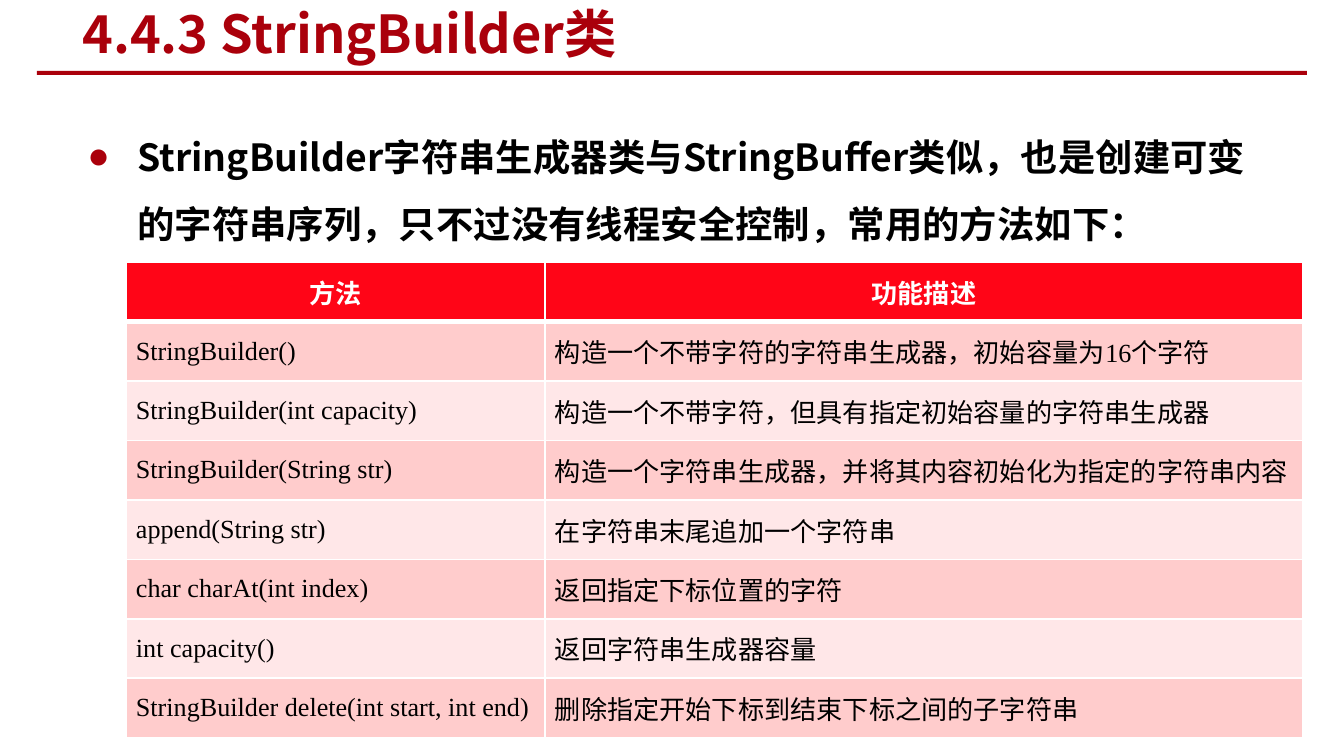
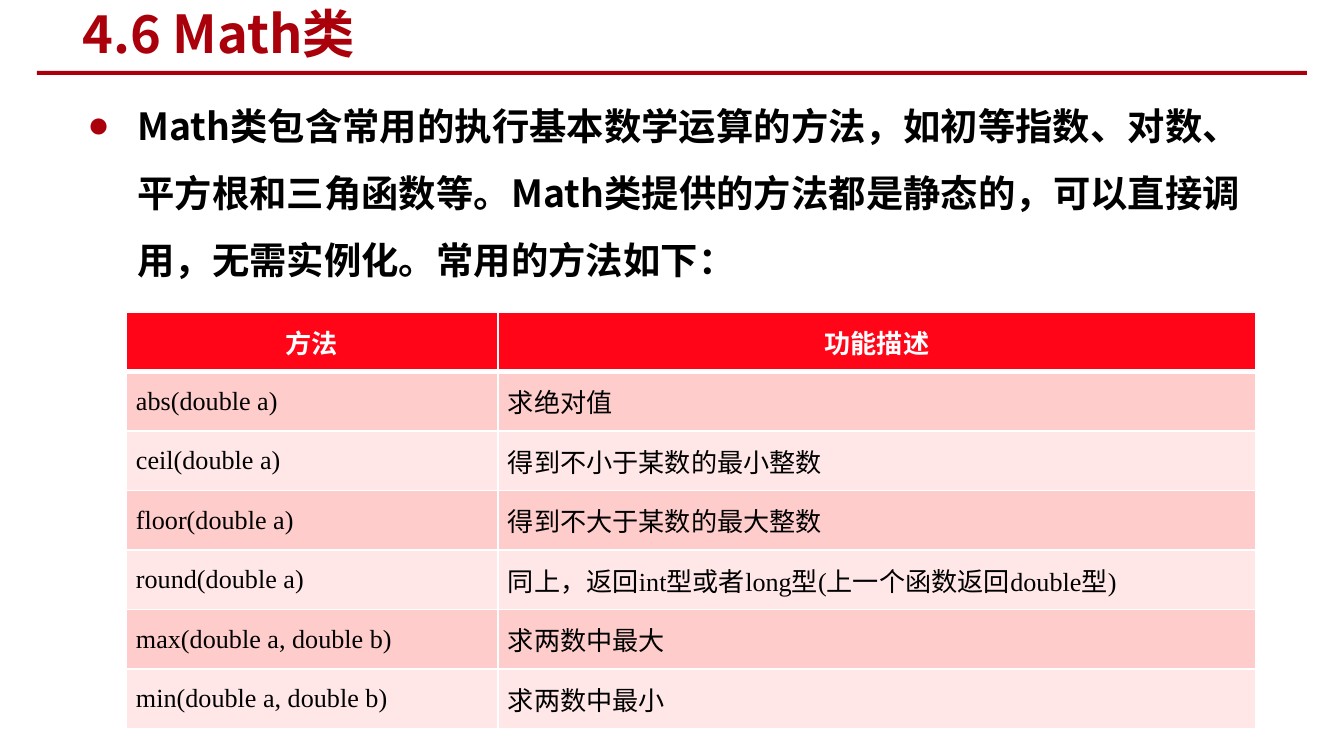
from lxml.etree import SubElement
from pptx import Presentation
from pptx.dml.color import RGBColor
from pptx.enum.shapes import MSO_SHAPE
from pptx.enum.text import MSO_ANCHOR, PP_ALIGN
from pptx.oxml.ns import qn
from pptx.util import Emu, Pt

PX_PER_INCH = 134.4
CJK_FONT = "Noto Sans CJK SC"
CODE_FONT = "Times New Roman"
HEADER_FONT = "Calibri"
CRIMSON = "AA000B"
HEADER_RED = "FF0517"
BAND_FILLS = ("FFCCCC", "FFE7E8")
WHITE = "FFFFFF"
BLACK = "000000"
HEADINGS = ("方法", "功能描述")

STRING_BUILDER_METHODS = [
    ("StringBuilder()", "构造一个不带字符的字符串生成器，初始容量为16个字符"),
    ("StringBuilder(int capacity)", "构造一个不带字符，但具有指定初始容量的字符串生成器"),
    ("StringBuilder(String str)", "构造一个字符串生成器，并将其内容初始化为指定的字符串内容"),
    ("append(String str)", "在字符串末尾追加一个字符串"),
    ("char charAt(int index)", "返回指定下标位置的字符"),
    ("int capacity()", "返回字符串生成器容量"),
    ("StringBuilder delete(int start, int end)", "删除指定开始下标到结束下标之间的子字符串"),
]
MATH_METHODS = [
    ("abs(double a)", "求绝对值"),
    ("ceil(double a)", "得到不小于某数的最小整数"),
    ("floor(double a)", "得到不大于某数的最大整数"),
    ("round(double a)", "同上，返回int型或者long型(上一个函数返回double型)"),
    ("max(double a, double b)", "求两数中最大"),
    ("min(double a, double b)", "求两数中最小"),
]


def px(length):
    return Emu(round(length * 914400 / PX_PER_INCH))


def rgb(color):
    return RGBColor.from_string(color)


def place(shape, box):
    shape.left, shape.top, shape.width, shape.height = map(px, box)


def write(frame, text, *, size, color, font=CJK_FONT, bold=False,
          align=PP_ALIGN.LEFT, anchor=MSO_ANCHOR.MIDDLE, spacing=None):
    frame.word_wrap = True
    frame.vertical_anchor = anchor
    paragraph = frame.paragraphs[0]
    paragraph.alignment = align
    if spacing:
        paragraph.line_spacing = spacing
    run = paragraph.add_run()
    run.text = text
    run.font.size = Pt(size)
    run.font.bold = bold
    run.font.name = font
    run.font.color.rgb = rgb(color)
    SubElement(run.font._element, qn("a:ea"), typeface=CJK_FONT)
    return paragraph


def add_bullet(paragraph, char, color, indent):
    properties = paragraph._p.get_or_add_pPr()
    properties.set("marL", str(px(indent)))
    properties.set("indent", str(-px(indent)))
    bullet_color = SubElement(properties, qn("a:buClr"))
    SubElement(bullet_color, qn("a:srgbClr"), val=color)
    SubElement(properties, qn("a:buFont"), typeface=CODE_FONT)
    SubElement(properties, qn("a:buChar"), char=char)


def set_borders(cell, bottom_width):
    """Draw white cell borders; they must precede the fill in the cell's XML."""
    properties = cell._tc.get_or_add_tcPr()
    for side, width in (("L", 1), ("R", 1), ("T", 1), ("B", bottom_width)):
        line = SubElement(properties, qn(f"a:ln{side}"), w=str(Pt(width)))
        fill = SubElement(line, qn("a:solidFill"))
        SubElement(fill, qn("a:srgbClr"), val=WHITE)


def add_heading(slide, title):
    rule = slide.shapes.add_shape(MSO_SHAPE.RECTANGLE, *map(px, (37, 71, 1270, 4)))
    rule.shadow.inherit = False
    rule.fill.solid()
    rule.fill.fore_color.rgb = rgb(CRIMSON)
    rule.line.fill.background()
    place(slide.shapes.title, (69, 3, 712, 60))
    write(slide.shapes.title.text_frame, title, size=28, color=CRIMSON, bold=True)


def add_intro(slide, text, box):
    intro = slide.shapes.add_textbox(*map(px, box))
    paragraph = write(intro.text_frame, text, size=20, color=BLACK, bold=True,
                      anchor=MSO_ANCHOR.TOP, spacing=1.5)
    add_bullet(paragraph, "●", CRIMSON, 50)


def add_method_table(slide, methods, box, name_width, align):
    left, top, width, height = box
    rows = [HEADINGS, *methods]
    table = slide.shapes.add_table(len(rows), 2, *map(px, box)).table
    table.columns[0].width = px(name_width)
    table.columns[1].width = px(width - name_width)
    for row_index, row in enumerate(rows):
        is_header = row_index == 0
        for column, text in enumerate(row):
            cell = table.cell(row_index, column)
            cell.margin_left = cell.margin_right = px(10)
            cell.margin_top = cell.margin_bottom = 0
            set_borders(cell, 3 if is_header else 1)
            cell.fill.solid()
            cell.fill.fore_color.rgb = rgb(
                HEADER_RED if is_header else BAND_FILLS[(row_index - 1) % 2])
            write(cell.text_frame, text, size=14, bold=is_header,
                  color=WHITE if is_header else BLACK,
                  font=HEADER_FONT if is_header else CODE_FONT,
                  align=PP_ALIGN.CENTER if is_header else align)
            cell.vertical_anchor = MSO_ANCHOR.MIDDLE


def add_class_slide(deck, title, intro, intro_top, methods, table_box, name_width,
                    align=PP_ALIGN.LEFT):
    slide = deck.slides.add_slide(deck.slide_layouts[5])
    add_heading(slide, title)
    add_intro(slide, intro, (74, intro_top, 1207, 630))
    add_method_table(slide, methods, table_box, name_width, align)


def main():
    deck = Presentation()
    deck.slide_width, deck.slide_height = px(1344), px(756)
    add_class_slide(
        deck, "4.4.3 StringBuilder类",
        "StringBuilder字符串生成器类与StringBuffer类似，也是创建可变的字符串序列，"
        "只不过没有线程安全控制，常用的方法如下：",
        105, STRING_BUILDER_METHODS, (126, 262, 1177, 476), 419)
    add_class_slide(
        deck, "4.6 Math类",
        "Math类包含常用的执行基本数学运算的方法，如初等指数、对数、平方根和三角函数等。"
        "Math类提供的方法都是静态的，可以直接调用，无需实例化。常用的方法如下：",
        74, MATH_METHODS, (126, 312, 1130, 417), 372, PP_ALIGN.JUSTIFY)
    deck.save("out.pptx")


if __name__ == "__main__":
    main()
